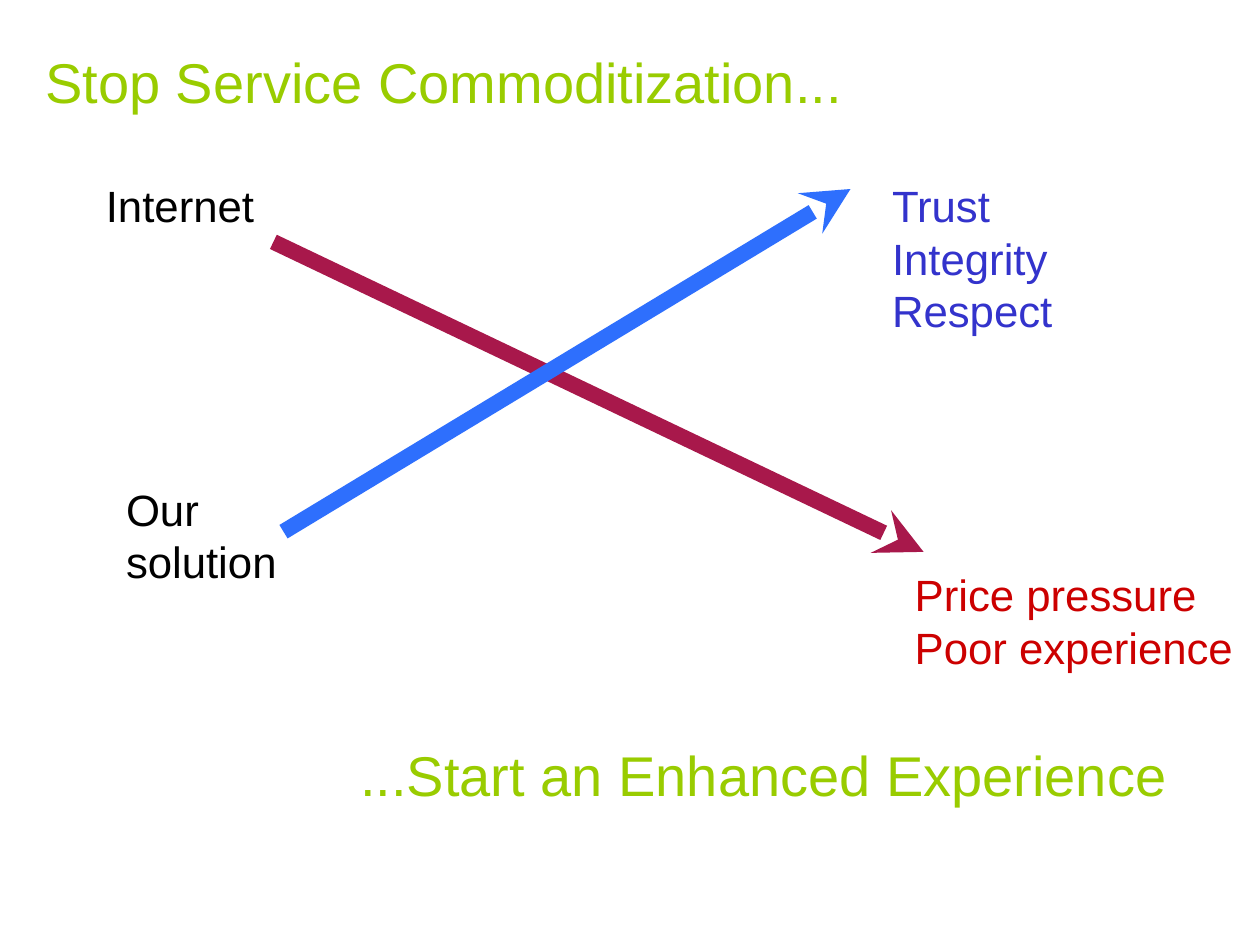
from lxml.etree import SubElement
from pptx import Presentation
from pptx.dml.color import RGBColor
from pptx.enum.shapes import MSO_CONNECTOR
from pptx.enum.text import MSO_ANCHOR, MSO_AUTO_SIZE, PP_ALIGN
from pptx.oxml.ns import qn
from pptx.util import Inches, Pt

TITLE_ONLY = 5
HEADLINE = {"size": Pt(32), "color": "99CC00", "margins": (0.09, 0.05), "spacing": 1.0}
LABEL = {"size": Pt(25), "margins": (0, 0), "spacing": Pt(30)}

# wording, left, top, width, height, wraps, colour
LABELS = [
    ("Trust\nIntegrity\nRespect", 7.08, 1.42, 2.5, 1.25, True, "3333CC"),
    ("Internet", 0.84, 1.42, 1.18, 0.83, False, "000000"),
    ("Price pressure\nPoor experience", 7.26, 4.51, 2.53, 0.83, False, "CC0000"),
    ("Our solution", 1, 3.83, 1.25, 1.67, True, "000000"),
]

# tip, start, colour
TRENDS = [
    ((7.33, 4.38), (2.17, 1.92), "A8184B"),
    ((6.75, 1.5), (2.25, 4.22), "2E6FFD"),
]


def rgb(value):
    return RGBColor.from_string(value)


def write(holder, wording, style, color, wraps=False):
    frame = holder.text_frame
    frame.text = wording
    side, edge = (Inches(margin) for margin in style["margins"])
    settings = {
        "margin_left": side, "margin_right": side,
        "margin_top": edge, "margin_bottom": edge,
        "word_wrap": wraps, "vertical_anchor": MSO_ANCHOR.TOP,
        "auto_size": MSO_AUTO_SIZE.NONE,
    }
    for name, value in settings.items():
        setattr(frame, name, value)
    for line in frame.paragraphs:
        line.alignment = PP_ALIGN.LEFT
        line.line_spacing = style["spacing"]
        line.space_before = Pt(0)
        for run in line.runs:
            run.font.name = "Arial"
            run.font.size = style["size"]
            run.font.color.rgb = rgb(color)


def add_text(slide, wording, box, style, color, wraps=False):
    holder = slide.shapes.add_textbox(*map(Inches, box))
    write(holder, wording, style, color, wraps)


def set_title(slide, wording, box):
    title = slide.shapes.title
    for name, value in zip(("left", "top", "width", "height"), box):
        setattr(title, name, Inches(value))
    write(title, wording, HEADLINE, HEADLINE["color"])


def add_trend(slide, tip, start, color):
    arrow = slide.shapes.add_connector(
        MSO_CONNECTOR.STRAIGHT, *map(Inches, tip + start))
    arrow.line.color.rgb = rgb(color)
    arrow.line.width = Pt(9)
    properties = arrow._element.spPr
    SubElement(properties.find(qn("a:ln")), qn("a:headEnd"), type="stealth")
    SubElement(properties, qn("a:effectLst"))


def main():
    deck = Presentation()
    deck.slide_width, deck.slide_height = Inches(10), Inches(7.5)
    slide = deck.slides.add_slide(deck.slide_layouts[TITLE_ONLY])
    # A placeholder wraps at its width, so the title has a little room to spare.
    set_title(slide, "Stop Service Commoditization...", (0.27, 0.33, 6.7, 0.62))
    for tip, start, color in TRENDS:
        add_trend(slide, tip, start, color)
    for wording, *box, wraps, color in LABELS:
        add_text(slide, wording, box, LABEL, color, wraps)
    add_text(slide, "...Start an Enhanced Experience", (2.77, 5.83, 6.71, 0.62),
             HEADLINE, HEADLINE["color"])
    deck.save("out.pptx")


if __name__ == "__main__":
    main()
